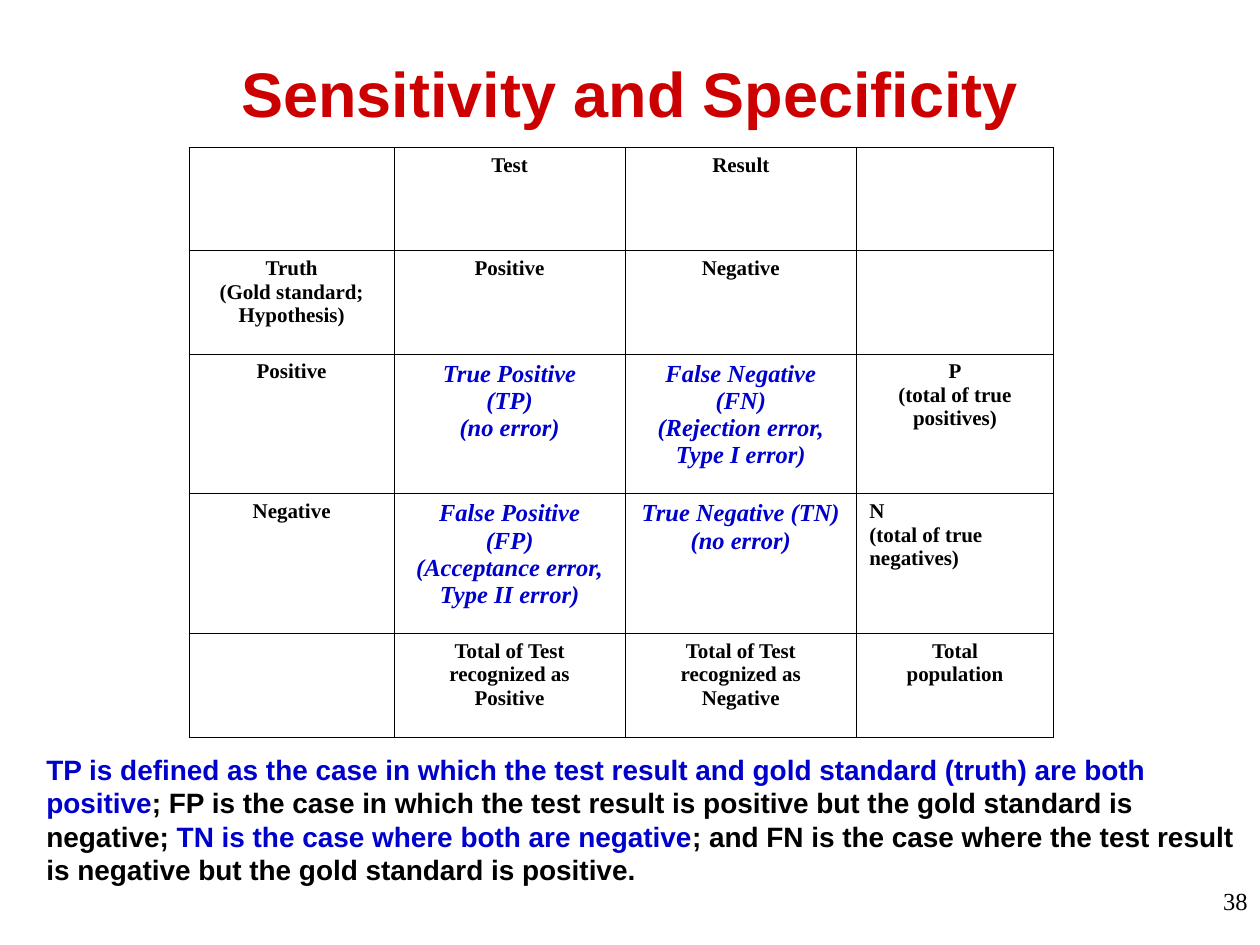
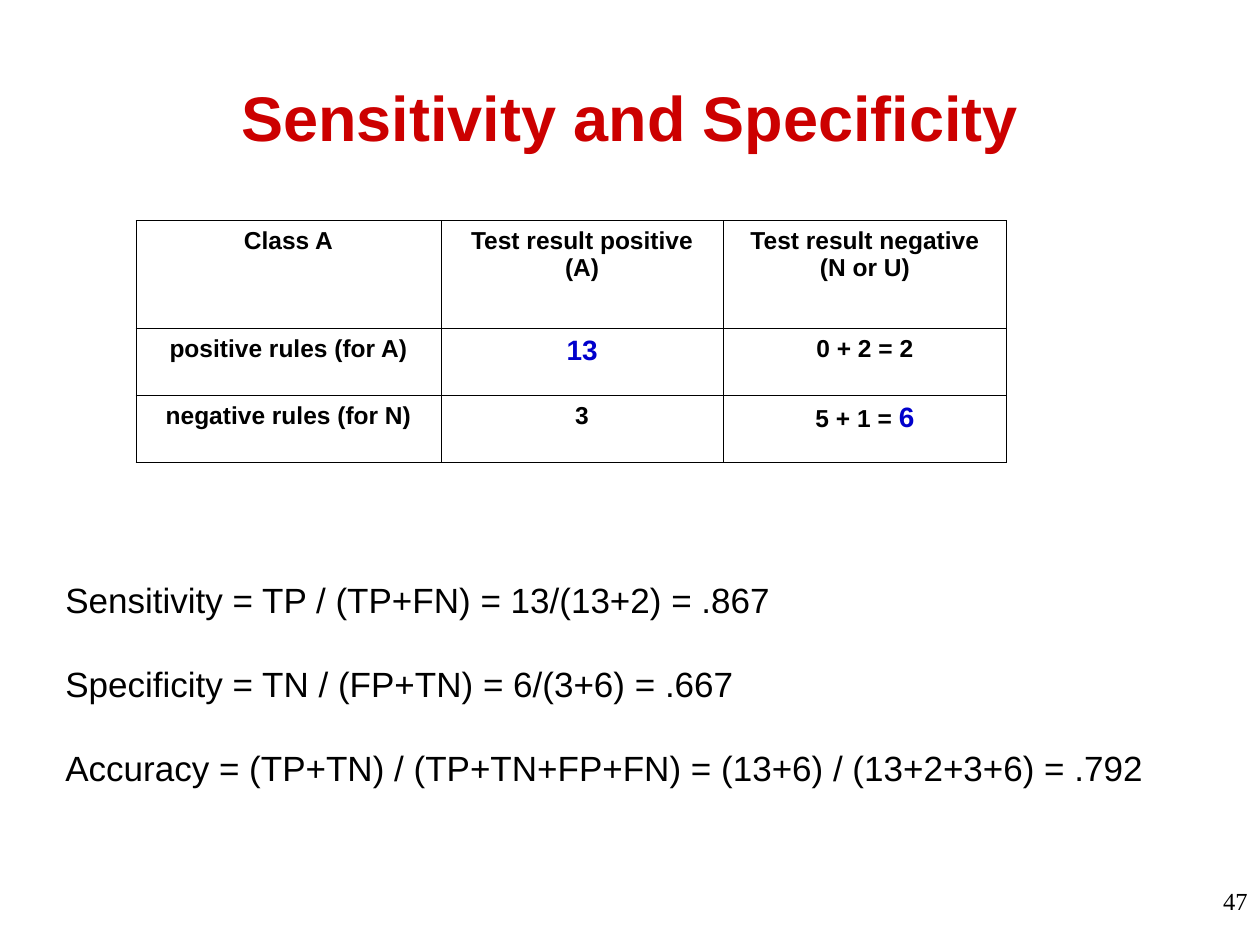
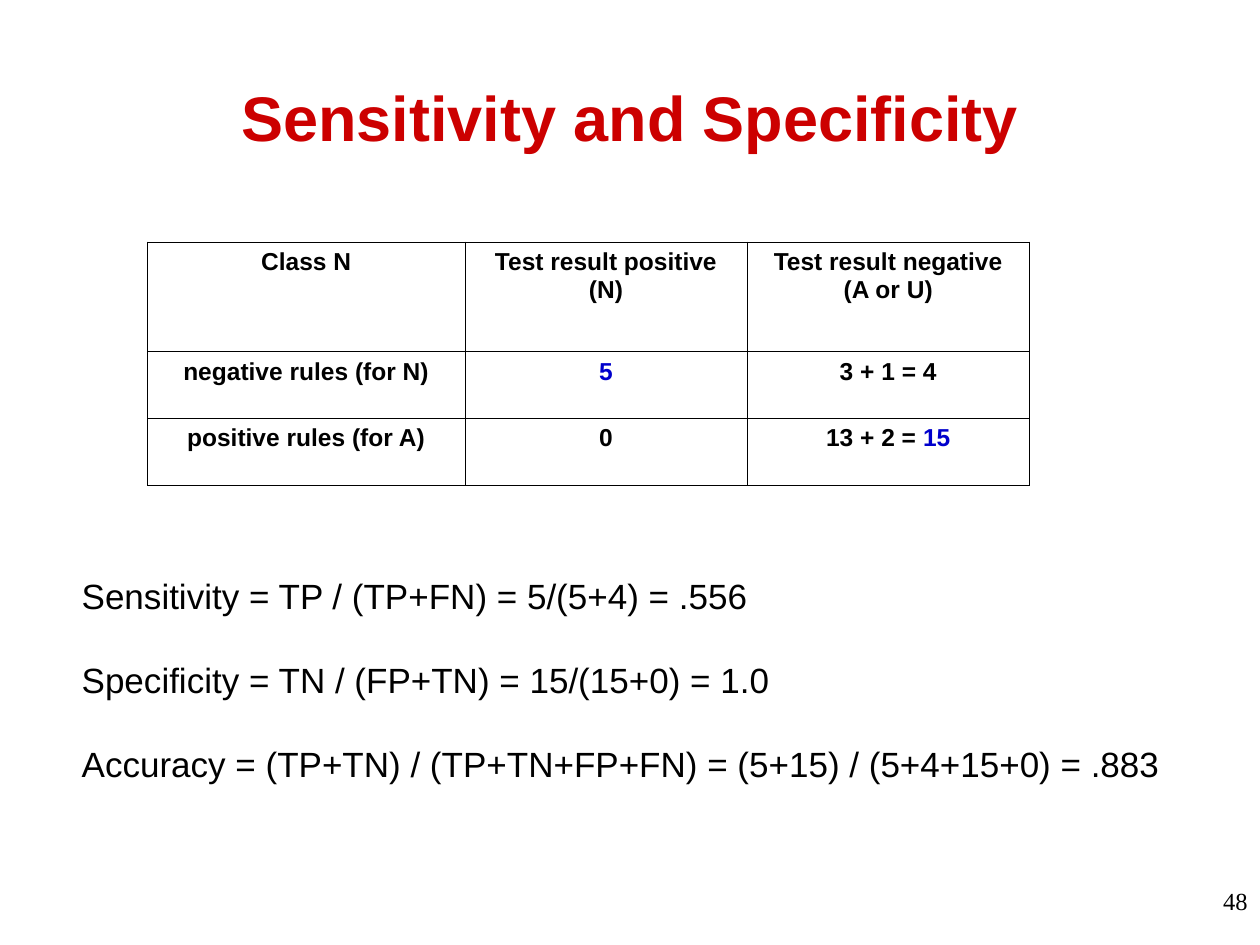
from dataclasses import dataclass

from lxml.etree import SubElement
from pptx import Presentation
from pptx.dml.color import RGBColor
from pptx.enum.text import MSO_ANCHOR as Anchor, PP_ALIGN as Align
from pptx.oxml.ns import qn
from pptx.util import Inches, Pt


@dataclass(frozen=True)
class Theme:
    heading: str = "CC0000"
    ink: str = "000000"
    accent: str = "0000CC"
    sans: str = "Arial"
    serif: str = "Times New Roman"
    title_size: int = 36
    formula_size: int = 20
    note_size: int = 16
    number_size: int = 14
    line_ratio: float = 1.2
    border_width: float = 0.45


@dataclass(frozen=True)
class Style:
    size: int
    font: str
    color: str = Theme.ink
    bold: bool = False
    italic: bool = False


THEME = Theme()
TITLE = Style(THEME.title_size, THEME.sans, THEME.heading, bold=True)
FORMULA = Style(THEME.formula_size, THEME.sans)
NOTE = Style(THEME.note_size, THEME.sans, bold=True)
NOTE_ACCENT = Style(THEME.note_size, THEME.sans, THEME.accent, bold=True)
NUMBER = Style(THEME.number_size, THEME.serif)
LABEL = Style(12, THEME.serif, bold=True)
OUTCOME = Style(14, THEME.serif, THEME.accent, bold=True, italic=True)
COUNT = Style(14, THEME.sans, bold=True)
COUNT_ACCENT = Style(14, THEME.sans, THEME.accent, bold=True)

HEADLINE = "Sensitivity and Specificity"

# Text between asterisks takes the accent style.
SLIDES = [
    {
        "number": "38",
        "title_height": 0.87,
        "table": {
            "at": (1.5, 1.17),
            "widths": [1.63, 1.83, 1.84, 1.56],
            "heights": [0.82, 0.82, 1.11, 1.11, 0.82],
            "styles": (LABEL, OUTCOME),
            "left_aligned": [(3, 3)],
            "rows": [
                ["", "Test", "Result", ""],
                ["Truth\n(Gold standard; Hypothesis)", "Positive", "Negative", ""],
                ["Positive",
                 "*True Positive*\n*(TP)*\n*(no error)*",
                 "*False Negative*\n*(FN)*\n*(Rejection error,*\n*Type I error)*",
                 "P\n(total of true positives)"],
                ["Negative",
                 "*False Positive*\n*(FP)*\n*(Acceptance error,*\n*Type II error)*",
                 "*True Negative (TN)*\n*(no error)*",
                 "N\n(total of true\nnegatives)"],
                ["",
                 "Total of Test\nrecognized as\nPositive",
                 "Total of Test\nrecognized as\nNegative",
                 "Total\npopulation"],
            ],
        },
        "body": {
            "box": (0.27, 5.92, 9.73, 1.17),
            "styles": (NOTE, NOTE_ACCENT),
            "text": "*TP is defined as the case in which the test result and gold "
                    "standard (truth) are both positive*; FP is the case in which "
                    "the test result is positive but the gold standard is negative; "
                    "*TN is the case where both are negative*; and FN is the case "
                    "where the test result is negative but the gold standard is "
                    "positive.",
        },
    },
    {
        "number": "47",
        "title_height": 1.25,
        "table": {
            "at": (1.08, 1.75),
            "widths": [2.42, 2.24, 2.25],
            "heights": [0.86, 0.53, 0.53],
            "styles": (COUNT, NOTE_ACCENT),
            "rows": [
                ["Class A", "Test result positive (A)", "Test result negative\n(N or U)"],
                ["positive rules (for A)", "*13*", "0 + 2 = 2"],
                ["negative rules (for N)", "3", "5 + 1 = *6*"],
            ],
        },
        "body": {
            "box": (0.42, 4.54, 9, 1.77),
            "styles": (FORMULA, FORMULA),
            "text": "Sensitivity = TP / (TP+FN) = 13/(13+2) = .867\n"
                    "Specificity = TN / (FP+TN) = 6/(3+6) = .667\n"
                    "Accuracy = (TP+TN) / (TP+TN+FP+FN) = (13+6) / (13+2+3+6) = .792",
        },
    },
    {
        "number": "48",
        "title_height": 1.25,
        "table": {
            "at": (1.17, 1.92),
            "widths": [2.52, 2.24, 2.24],
            "heights": [0.87, 0.53, 0.53],
            "styles": (COUNT, COUNT_ACCENT),
            "rows": [
                ["Class N", "Test result positive (N)", "Test result negative\n(A or U)"],
                ["negative rules (for N)", "*5*", "3 + 1 = 4"],
                ["positive rules (for A)", "0", "13 + 2 = *15*"],
            ],
        },
        "body": {
            "box": (0.55, 4.51, 9, 1.77),
            "styles": (FORMULA, FORMULA),
            "text": "Sensitivity = TP / (TP+FN) = 5/(5+4) = .556\n"
                    "Specificity = TN / (FP+TN) = 15/(15+0) = 1.0\n"
                    "Accuracy = (TP+TN) / (TP+TN+FP+FN) = (5+15) / (5+4+15+0) = .883",
        },
    },
]


def write(frame, text, styles, align):
    frame.text = text.replace("*", "")
    for paragraph, line in zip(frame.paragraphs, text.split("\n")):
        paragraph.alignment = align
        paragraph.text = ""
        for position, part in enumerate(line.split("*")):
            if not part:
                continue
            style = styles[position % 2]
            run = paragraph.add_run()
            run.text = part
            run.font.size = Pt(style.size)
            run.font.name = style.font
            run.font.bold = style.bold
            run.font.italic = style.italic
            run.font.color.rgb = RGBColor.from_string(style.color)


def add_text(slide, box, text, styles, align=Align.LEFT, anchor=Anchor.TOP):
    frame = slide.shapes.add_textbox(*map(Inches, box)).text_frame
    frame.word_wrap = True
    frame.vertical_anchor = anchor
    write(frame, text, styles, align)
    line_height = Pt(styles[0].size * THEME.line_ratio)
    for index, paragraph in enumerate(frame.paragraphs):
        paragraph.line_spacing = line_height
        if index:
            paragraph.space_before = line_height


def add_borders(cell):
    properties = cell._tc.get_or_add_tcPr()
    for side in ("lnL", "lnR", "lnT", "lnB"):
        line = SubElement(properties, qn(f"a:{side}"), w=str(Pt(THEME.border_width)))
        fill = SubElement(line, qn("a:solidFill"))
        SubElement(fill, qn("a:srgbClr"), val=THEME.ink)


def add_matrix(slide, at, widths, heights, styles, rows, left_aligned=()):
    size = sum(widths), sum(heights)
    matrix = slide.shapes.add_table(
        len(heights), len(widths), *map(Inches, at + size)).table
    matrix.first_row = matrix.horz_banding = False
    for column, width in zip(matrix.columns, widths):
        column.width = Inches(width)
    for row, height in zip(matrix.rows, heights):
        row.height = Inches(height)
    for r, row in enumerate(rows):
        for c, text in enumerate(row):
            cell = matrix.cell(r, c)
            add_borders(cell)
            cell.fill.background()
            align = Align.LEFT if (r, c) in left_aligned else Align.CENTER
            write(cell.text_frame, text, styles, align)


def main():
    deck = Presentation()
    deck.slide_width, deck.slide_height = Inches(10), Inches(7.5)
    for content in SLIDES:
        slide = deck.slides.add_slide(deck.slide_layouts[6])
        add_text(slide, (0.5, 0.3, 9, content["title_height"]), HEADLINE,
                 (TITLE, TITLE), Align.CENTER, Anchor.MIDDLE)
        add_matrix(slide, **content["table"])
        add_text(slide, **content["body"])
        add_text(slide, (7.67, 6.98, 2.33, 0.52), content["number"],
                 (NUMBER, NUMBER), Align.RIGHT)
    deck.save("out.pptx")


if __name__ == "__main__":
    main()
